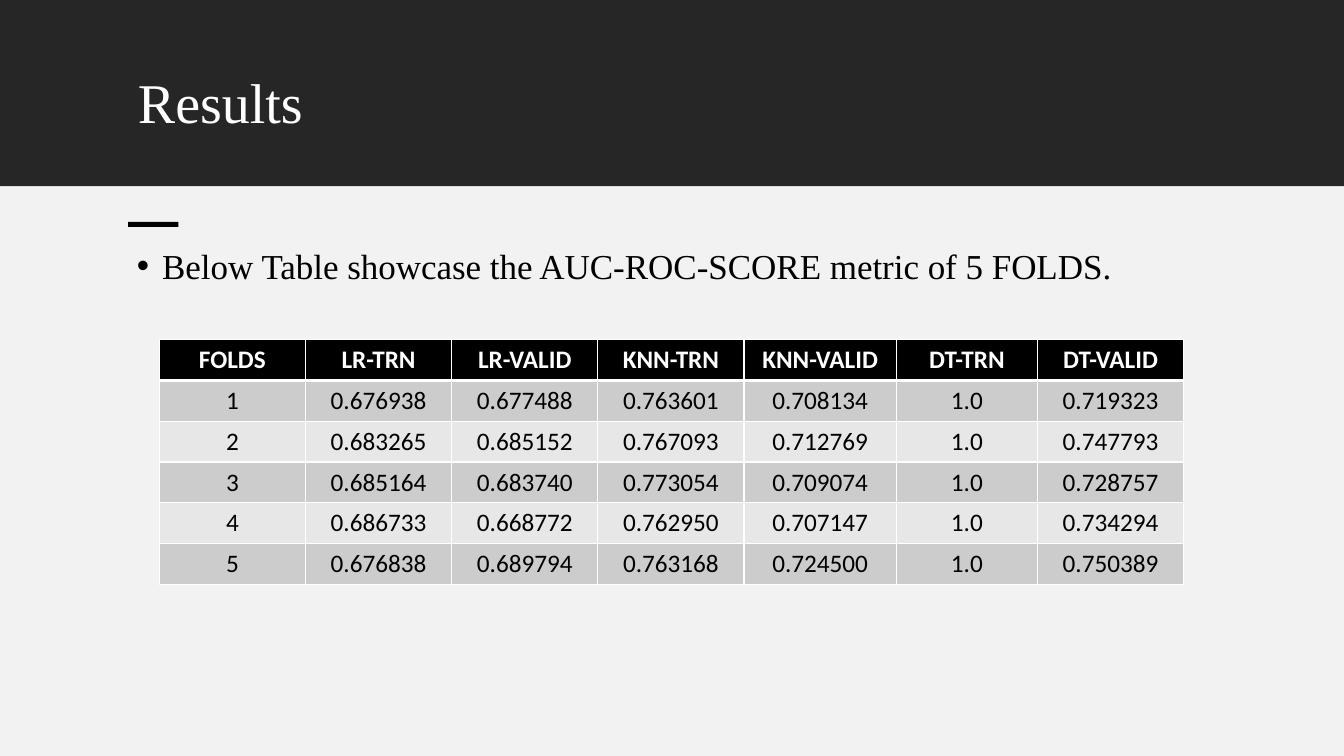
from dataclasses import dataclass
from lxml import etree
from pptx import Presentation
from pptx.dml.color import RGBColor
from pptx.enum import shapes, text
from pptx.oxml import ns
from pptx.util import Inches, Pt

INK = {"band": "262626", "page": "F2F2F2", "dark": "000000",
       "light": "FFFFFF", "odd": "CCCCCC", "even": "E7E7E7"}
SERIF, SANS = "Times New Roman", "Calibri"


@dataclass
class Box:
    left: float
    top: float
    width: float
    height: float

    def place(self) -> list:
        return [Inches(n) for n in (self.left, self.top, self.width, self.height)]


@dataclass
class Style:
    face: str
    size: float
    ink: str
    bold: bool = False


def paint(fill, ink: str) -> None:
    fill.solid()
    fill.fore_color.rgb = RGBColor.from_string(INK[ink])


def dress(para, style: Style) -> None:
    font = para.font
    font.name, font.size, font.bold = style.face, Pt(style.size), style.bold
    font.color.rgb = RGBColor.from_string(INK[style.ink])


def block(slide, box: Box, ink: str) -> None:
    shape = slide.shapes.add_shape(shapes.MSO_SHAPE.RECTANGLE, *box.place())
    shape.shadow.inherit = False
    paint(shape.fill, ink)
    shape.line.fill.background()


def label(slide, box: Box, words: str, style: Style):
    frame = slide.shapes.add_textbox(*box.place()).text_frame
    frame.word_wrap = True
    para = frame.paragraphs[0]
    para.text = words
    para.line_spacing = 0.9
    dress(para, style)
    return para


def bullet(para) -> None:
    props = para._p.get_or_add_pPr()
    props.set("marL", str(Inches(0.25)))
    props.set("indent", str(Inches(-0.25)))
    etree.SubElement(props, ns.qn("a:buFont")).set("typeface", "Arial")
    etree.SubElement(props, ns.qn("a:buChar")).set("char", "•")


def edge(cell, side: str, width: float) -> None:
    props = cell._tc.get_or_add_tcPr()
    line = etree.SubElement(props, ns.qn("a:ln" + side), w=str(Pt(width)))
    fill = etree.SubElement(line, ns.qn("a:solidFill"))
    etree.SubElement(fill, ns.qn("a:srgbClr")).set("val", INK["light"])


def entry(cell, words: str, row: int) -> None:
    head = row == 0
    para = cell.text_frame.paragraphs[0]
    para.text = words
    para.alignment = text.PP_ALIGN.CENTER
    dress(para, Style(SANS, 18, "light" if head else "dark", head))
    for side in "LRTB":
        thick = (head and side == "B") or (row == 1 and side == "T")
        edge(cell, side, 3 if thick else 1)
    paint(cell.fill, "dark" if head else "odd" if row % 2 else "even")


def grid(slide, box: Box, widths: list[float], rows: list[list[str]]) -> None:
    table = slide.shapes.add_table(len(rows), len(widths), *box.place()).table
    for col, width in zip(table.columns, widths):
        col.width = Inches(width)
    for r, row in enumerate(rows):
        table.rows[r].height = Inches(box.height / len(rows))
        for c, words in enumerate(row):
            entry(table.cell(r, c), words, r)


HEADS = ["FOLDS", "LR-TRN", "LR-VALID", "KNN-TRN", "KNN-VALID", "DT-TRN", "DT-VALID"]
FOLDS = [
    [0.676938, 0.677488, 0.763601, 0.708134, 1, 0.719323],
    [0.683265, 0.685152, 0.767093, 0.712769, 1, 0.747793],
    [0.685164, 0.683740, 0.773054, 0.709074, 1, 0.728757],
    [0.686733, 0.668772, 0.762950, 0.707147, 1, 0.734294],
    [0.676838, 0.689794, 0.763168, 0.724500, 1, 0.750389],
]


def score(value: float) -> str:
    return "1.0" if value == 1 else f"{value:.6f}"


deck = Presentation()
deck.slide_width, deck.slide_height = Inches(13.33), Inches(7.5)
slide = deck.slides.add_slide(deck.slide_layouts[6])

block(slide, Box(0, 0, 13.33, 1.85), "band")
label(slide, Box(1.27, 0.7, 10.81, 0.98), "Results", Style(SERIF, 40, "light"))
block(slide, Box(0, 1.85, 13.33, 5.65), "page")
block(slide, Box(1.27, 2.2, 0.5, 0.05), "dark")

point = label(slide, Box(1.26, 2.42, 10.81, 4.33),
              "Below Table showcase the AUC-ROC-SCORE metric of 5 FOLDS.",
              Style(SERIF, 25, "dark"))
point.space_before = Pt(10)
bullet(point)

rows = [HEADS] + [[str(n), *map(score, fold)] for n, fold in enumerate(FOLDS, 1)]
grid(slide, Box(1.58, 3.37, 10.17, 2.43), [1.45] * 4 + [1.51, 1.4, 1.45], rows)

deck.save("out.pptx")
